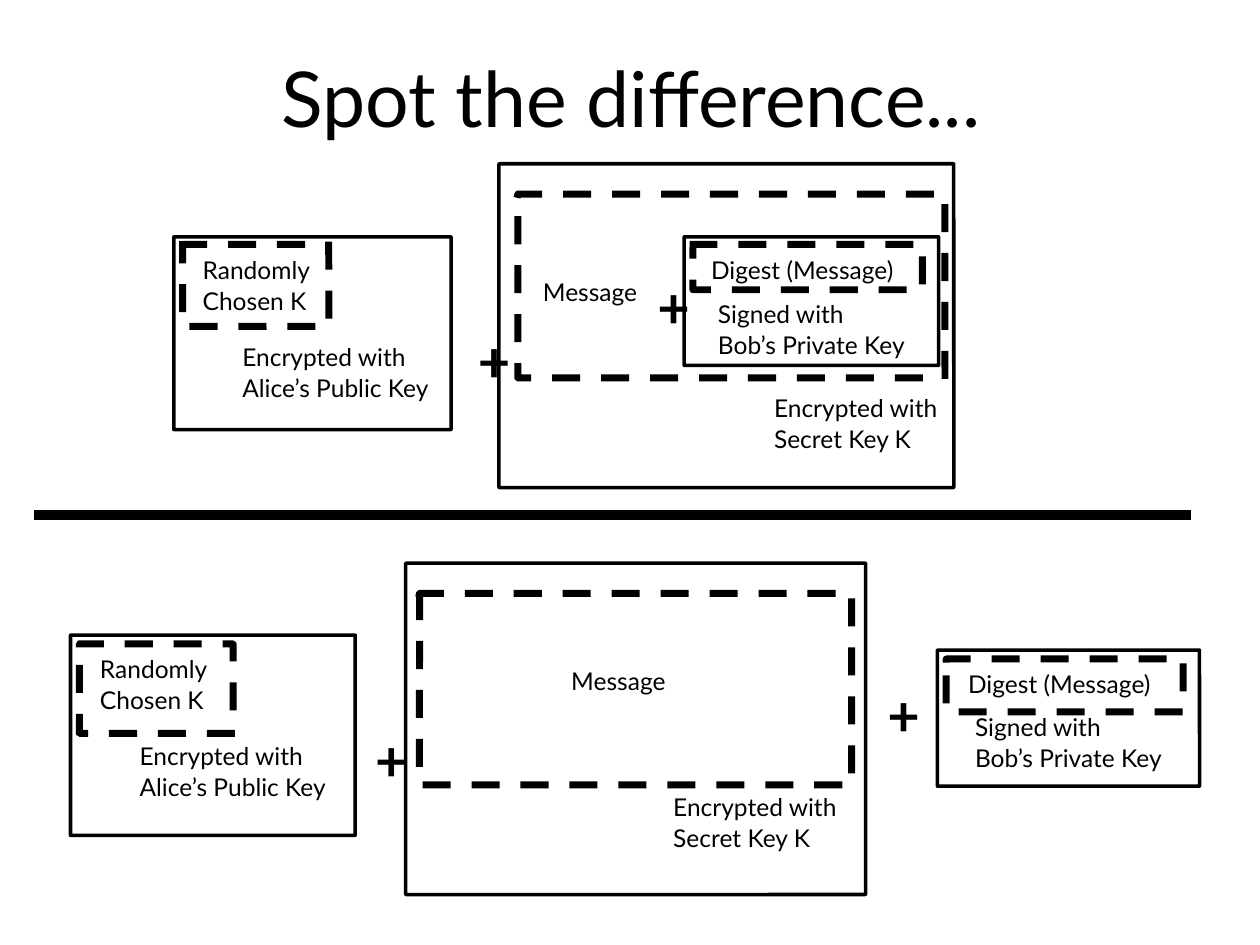
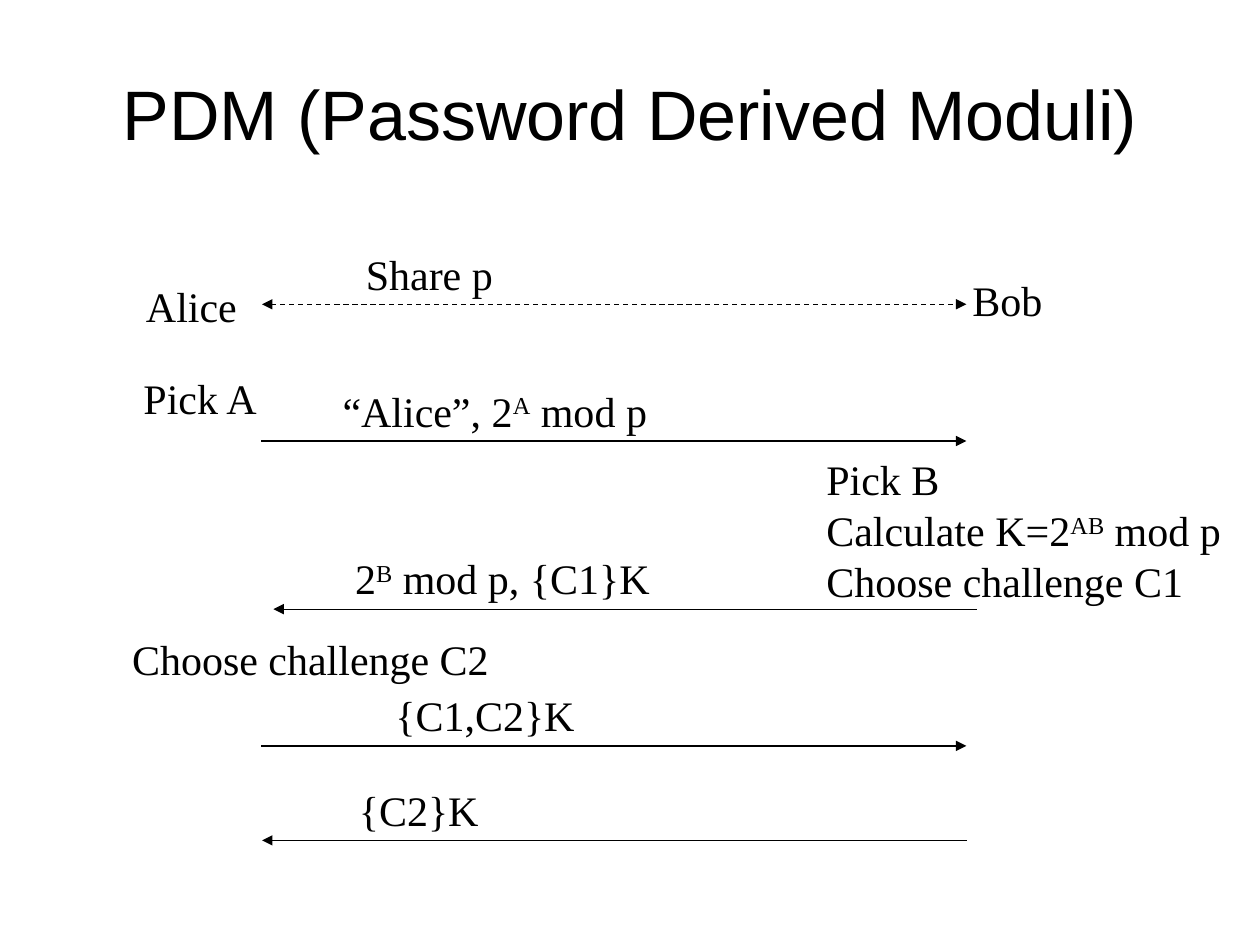
from dataclasses import dataclass
from typing import NamedTuple

from lxml import etree
from pptx import Presentation, util as u
from pptx.dml.color import RGBColor
from pptx.enum import dml, shapes, text
from pptx.oxml.ns import qn

WIDTH, HEIGHT = u.Inches(10), u.Inches(7.5)
COLS, ROWS = 100, 75


@dataclass(frozen=True)
class Theme:
    ink: RGBColor = RGBColor(0, 0, 0)
    panel: float = 2
    frame: float = 4
    rule: float = 5.67
    arrow: float = 0.75


@dataclass(frozen=True)
class Style:
    """Type with the line spacing of the first and the later lines."""
    font: str
    size: float
    lead: float
    next: float = 1.06
    bold: bool = False


THEME = Theme()
HEAD = Style("Lato", 44, 1.01)
BODY = Style("Lato", 14, 1.01)
PLUS = Style("Lato", 32, 1.01, bold=True)
TITLE = Style("Arial", 40, 0.93)
STEP = Style("Times New Roman", 24, 0.93, 1.0)


class Area(NamedTuple):
    """Place and size in grid columns and rows."""
    col: float
    row: float
    wide: float
    high: float

    def cut(self) -> tuple[int, int, int, int]:
        """Give left, top, width and height in EMU."""
        return (across(self.col), down(self.row),
                across(self.wide), down(self.high))


class Label(NamedTuple):
    area: Area
    words: str


class Sealed(NamedTuple):
    """Content in a dashed frame, inside a panel that says how it is sealed."""
    panel: Area
    frame: Area
    label: Label
    note: Label


class Arrow(NamedTuple):
    start: float
    end: float
    row: float
    head: bool = False
    tail: bool = False
    dash: bool = False


def across(cols: float) -> int:
    return round(WIDTH * cols / COLS)


def down(rows: float) -> int:
    return round(HEIGHT * rows / ROWS)


def tint(shape, width: float, dash: bool = False) -> None:
    """Draw the line of a shape with square ends."""
    line = shape.line
    line.color.rgb = THEME.ink
    line.width = u.Pt(width)
    if dash:
        line.dash_style = dml.MSO_LINE.DASH
    shape._element.spPr.find(qn("a:ln")).set("cap", "sq")


def round_box(slide, area: Area):
    """Add an empty box with hardly rounded corners."""
    box = slide.shapes.add_shape(
        shapes.MSO_SHAPE.ROUNDED_RECTANGLE, *area.cut())
    box.adjustments[0] = 0.002
    box.shadow.inherit = False
    box.fill.background()
    return box


def write(box, words: str, style: Style, title: bool = False) -> None:
    """Fill a box with text; parts between ^ marks are raised."""
    body = box.text_frame
    body.word_wrap = title
    if title:
        body.vertical_anchor = text.MSO_ANCHOR.MIDDLE
    else:
        body.vertical_anchor = text.MSO_ANCHOR.TOP
        body.auto_size = text.MSO_AUTO_SIZE.SHAPE_TO_FIT_TEXT
    for n, line in enumerate(words.split("\n")):
        para = body.add_paragraph() if n else body.paragraphs[0]
        para.line_spacing = style.next if n else style.lead
        para.alignment = text.PP_ALIGN.CENTER if title else text.PP_ALIGN.LEFT
        for k, part in enumerate(line.split("^")):
            run = para.add_run()
            run.text = part
            if k % 2:
                run._r.get_or_add_rPr().set("baseline", "30000")
        for item in (para, *para.runs):
            font = item.font
            font.name, font.size = style.font, u.Pt(style.size)
            font.bold = style.bold
            font.color.rgb = THEME.ink


def place(slide, label: Label, style: Style, title: bool = False) -> None:
    box = slide.shapes.add_textbox(*label.area.cut())
    write(box, label.words, style, title)


def outline(slide, area: Area, width: float, dash: bool = False) -> None:
    tint(round_box(slide, area), width, dash)


def seal(slide, item: Sealed) -> None:
    place(slide, item.label, BODY)
    outline(slide, item.frame, THEME.frame, True)
    place(slide, item.note, BODY)
    outline(slide, item.panel, THEME.panel)


def draw(slide, arrow: Arrow, width: float) -> None:
    row = down(arrow.row)
    link = slide.shapes.add_connector(
        shapes.MSO_CONNECTOR.STRAIGHT,
        across(arrow.start), row, across(arrow.end), row)
    tint(link, width, arrow.dash)
    props = link._element.spPr
    for tag, shown in (("a:headEnd", arrow.head), ("a:tailEnd", arrow.tail)):
        if shown:
            etree.SubElement(props.find(qn("a:ln")), qn(tag), type="triangle")
    etree.SubElement(props, qn("a:effectLst"))


RANDOM = "Randomly\nChosen K"
PUBLIC = "Encrypted with\nAlice’s Public Key"
SECRET = "Encrypted with\nSecret Key K"
DIGEST = "Digest (Message)"
SIGNED = "Signed with\nBob’s Private Key"

SEALS = (
    Sealed(Area(13.8, 18.8, 22, 15.3), Area(14.5, 19.4, 11.6, 6.5),
           Label(Area(15.1, 19.7, 11.2, 5.8), RANDOM),
           Label(Area(18.25, 26.6, 17.4, 5.8), PUBLIC)),
    Sealed(Area(39.6, 13, 36.1, 25.7), Area(41.1, 15.4, 33.9, 14.6),
           Label(Area(42.1, 21.45, 10.2, 3.4), "Message"),
           Label(Area(60.45, 30.7, 15.7, 5.8), SECRET)),
    Sealed(Area(54.3, 18.8, 20.2, 10.2), Area(55, 19.4, 18.2, 3.6),
           Label(Area(55.45, 19.7, 17.7, 3.4), DIGEST),
           Label(Area(56, 23.2, 17.6, 5.8), SIGNED)),
    Sealed(Area(5.6, 50.4, 22.6, 15.9), Area(6.3, 51.1, 12.2, 7.1),
           Label(Area(6.95, 51.4, 11.2, 5.8), RANDOM),
           Label(Area(10.1, 58.3, 17.4, 5.8), PUBLIC)),
    Sealed(Area(32.2, 44.7, 36.5, 26.3), Area(33.3, 47.1, 34.3, 15.2),
           Label(Area(44.35, 52.35, 10.2, 3.4), "Message"),
           Label(Area(52.45, 62.35, 15.7, 5.8), SECRET)),
    Sealed(Area(74.4, 51.6, 20.8, 10.8), Area(75.1, 52.3, 18.8, 4.2),
           Label(Area(75.85, 52.55, 17.7, 3.4), DIGEST),
           Label(Area(76.4, 56, 17.6, 5.8), SIGNED)),
)
JOINS = ((36.95, 25.4), (51.2, 21.1), (28.8, 57), (69.45, 53.5))

ARROWS = (
    Arrow(20.8, 76.7, 24.15, head=True, tail=True, dash=True),
    Arrow(20.8, 76.7, 35, tail=True),
    Arrow(21.7, 77.5, 48.35, head=True),
    Arrow(20.8, 76.7, 59.2, tail=True),
    Arrow(20.8, 76.7, 66.7, head=True),
)
LINE = 4.8
STEPS = (
    Label(Area(10.6, 22.1, 9.2, LINE), "Alice"),
    Label(Area(76.2, 21.65, 7.7, LINE), "Bob"),
    Label(Area(28.05, 19.6, 12.1, LINE), "Share p"),
    Label(Area(10.4, 29.4, 11.1, LINE), "Pick A"),
    Label(Area(26.2, 30.45, 26.2, LINE), "“Alice”, 2^A^ mod p"),
    Label(Area(64.6, 35.85, 33.3, 12.8),
          "Pick B\nCalculate K=2^AB^ mod p\nChoose challenge C1"),
    Label(Area(27.2, 43.75, 25.4, LINE), "2^B^ mod p, {C1}K"),
    Label(Area(9.5, 50.15, 30.3, LINE), "Choose challenge C2"),
    Label(Area(30.4, 54.6, 16.2, LINE), "{C1,C2}K"),
    Label(Area(27.5, 62.1, 11.5, LINE), "{C2}K"),
)


def compare(slide) -> None:
    """Show signing inside and outside the encrypted message."""
    place(slide, Label(Area(7.6, 1.1, 85, 13.1), "Spot the difference..."),
          HEAD, True)
    for item in SEALS:
        seal(slide, item)
    for col, row in JOINS:
        place(slide, Label(Area(col, row, 4.6, 6.4), "+"), PLUS)
    draw(slide, Arrow(3.1, 94.1, 40.9), THEME.rule)


def trade(slide) -> None:
    """Show the messages that Alice and Bob exchange."""
    place(slide, Label(Area(5, 3, 90, 12.5), "PDM (Password Derived Moduli)"),
          TITLE, True)
    for arrow in ARROWS:
        draw(slide, arrow, THEME.arrow)
    for step in STEPS:
        box = round_box(slide, step.area)
        box.line.fill.background()
        write(box, step.words, STEP)


def main() -> None:
    deck = Presentation()
    deck.slide_width, deck.slide_height = WIDTH, HEIGHT
    for fill in (compare, trade):
        fill(deck.slides.add_slide(deck.slide_layouts[6]))
    deck.save("out.pptx")


if __name__ == "__main__":
    main()
